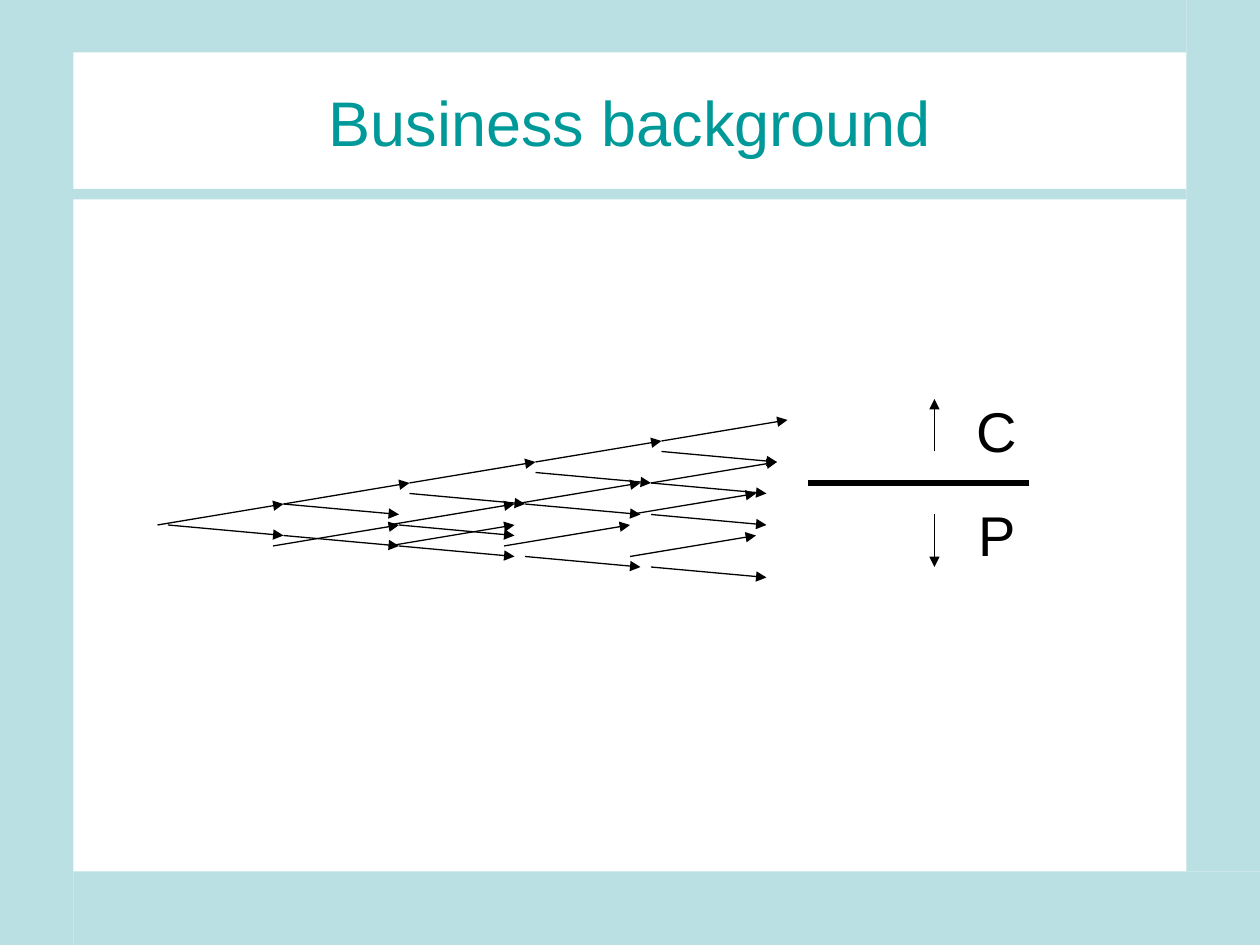
from pptx import Presentation
from pptx.dml.color import RGBColor as RGB
from pptx.enum.shapes import MSO_CONNECTOR as Conn, MSO_SHAPE as Shape
from pptx.enum.text import MSO_ANCHOR as Anchor, MSO_AUTO_SIZE as Auto, PP_ALIGN as Align
from pptx.oxml.ns import qn
from pptx.util import Inches, Pt
from lxml.etree import SubElement

THEME = {
    "font": "Arial", "title": 36, "label": 32, "thin": 0.75, "thick": 3,
    "frame": RGB(0xBB, 0xE0, 0xE3), "head": RGB(0x00, 0x99, 0x99),
    "ink": RGB(0, 0, 0),
}

TITLE = "Business background"
TITLE_BOX = (0.75, 0.42, 8.5, 1.08)
LABELS = [("C", 7.65, 3.1, 0.43, 0.64), ("P", 7.67, 3.92, 0.35, 0.64)]

# Frame and lines lie on a grid of twelfths of an inch.
GRID = 12
FRAME = [
    (Shape.RECTANGLE, 0, 0, 7, 90),
    (Shape.RECTANGLE, 7, 83, 113, 7),
    (Shape.RECTANGLE, 113, 0, 7, 83),
    (Shape.RECTANGLE, 0, 0, 113, 5),
    (Shape.ROUNDED_RECTANGLE, 6, 18, 107, 1),
]
# Each group: step across, step down, starting points.
ARROWS = [
    (12, -2, [(15, 50), (27, 48), (39, 46), (51, 44), (63, 42),
              (37, 50), (49, 48), (37, 52), (48, 52), (60, 53),
              (62, 46), (60, 49), (26, 52)]),
    (11, 1, [(16, 50), (27, 51), (38, 52), (50, 53), (62, 54),
             (39, 47), (27, 48), (51, 45), (63, 43), (62, 46),
             (50, 48), (62, 49), (38, 50)]),
    (0, -5, [(89, 43)]),
    (0, 5, [(89, 49)]),
]
BAR = (77, 46, 21, 0)


def scale(*units):
    return [Inches(n / GRID) for n in units]


def style(para, size, color):
    font = para.font
    font.name, font.size = THEME["font"], Pt(size)
    font.color.rgb = color


def add_line(slide, x, y, dx, dy, width, arrow=True):
    line = slide.shapes.add_connector(Conn.STRAIGHT, *scale(x, y, x + dx, y + dy))
    line.line.color.rgb = THEME["ink"]
    line.line.width = Pt(width)
    if arrow:
        SubElement(line.line._get_or_add_ln(), qn("a:tailEnd"), type="triangle")
    SubElement(line._element.spPr, qn("a:effectLst"))


def add_frame(slide):
    for kind, *box in FRAME:
        part = slide.shapes.add_shape(kind, *scale(*box))
        part.shadow.inherit = False
        part.fill.solid()
        part.fill.fore_color.rgb = THEME["frame"]
        part.line.fill.background()


def add_title(slide):
    title = slide.shapes.title
    title.left, title.top, title.width, title.height = map(Inches, TITLE_BOX)
    frame = title.text_frame
    frame.text = TITLE
    frame.vertical_anchor = Anchor.MIDDLE
    para = frame.paragraphs[0]
    para.alignment = Align.CENTER
    style(para, THEME["title"], THEME["head"])


def add_label(slide, text, *box):
    frame = slide.shapes.add_textbox(*map(Inches, box)).text_frame
    frame.word_wrap = False
    frame.auto_size = Auto.SHAPE_TO_FIT_TEXT
    frame.text = text
    style(frame.paragraphs[0], THEME["label"], THEME["ink"])


def main():
    deck = Presentation()
    deck.slide_width, deck.slide_height = Inches(10), Inches(7.5)
    slide = deck.slides.add_slide(deck.slide_layouts[5])
    add_frame(slide)
    add_title(slide)
    for dx, dy, starts in ARROWS:
        for x, y in starts:
            add_line(slide, x, y, dx, dy, THEME["thin"])
    add_line(slide, *BAR, THEME["thick"], arrow=False)
    for label in LABELS:
        add_label(slide, *label)
    deck.save("out.pptx")


if __name__ == "__main__":
    main()
